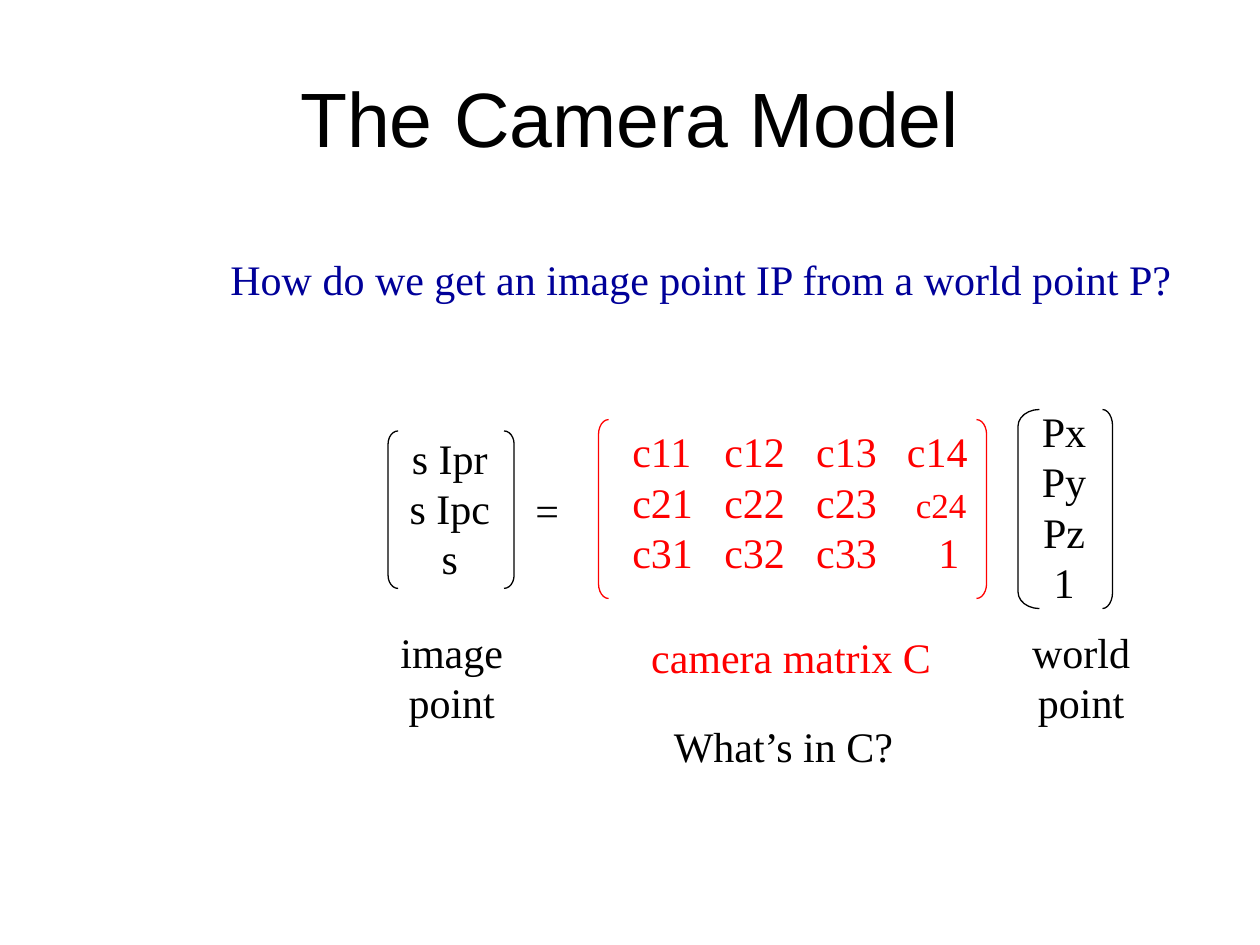
from dataclasses import dataclass

from lxml.etree import SubElement
from pptx import Presentation
from pptx.dml.color import RGBColor
from pptx.enum.shapes import MSO_SHAPE as Preset
from pptx.enum.text import MSO_ANCHOR as Anchor, PP_ALIGN as Align
from pptx.oxml.ns import qn
from pptx.slide import Slide
from pptx.text.text import _Paragraph as Paragraph
from pptx.util import Inches, Pt

BLACK, RED, BLUE = "000000", "FF0000", "000099"
SERIF = "Times New Roman"


@dataclass
class Label:
    lines: list[str]
    left: float
    top: float
    width: float
    height: float
    color: str = BLACK
    centered: bool = False


@dataclass
class Bracket:
    preset: Preset
    left: float
    top: float
    width: float
    height: float
    color: str = BLACK


@dataclass
class MatrixRow:
    entries: list[str]
    last_stop: float
    last_size: int = 24


LABELS = [
    Label(["How do we get an image point IP from a world point P?"],
          1.73, 1.96, 7.68, 0.5, BLUE),
    Label(["s Ipr", "s Ipc", "s"], 3.15, 3.38, 0.84, 1.3, centered=True),
    Label(["Px", "Py", "Pz", "1"], 8.17, 3.17, 0.55, 1.7, centered=True),
    Label(["="], 4.15, 3.8, 0.39, 0.5),
    Label(["image", "point"], 3.08, 4.92, 1.01, 0.9, centered=True),
    Label(["camera matrix C"], 5.07, 4.96, 2.42, 0.5, RED),
    Label(["world", "point"], 8.09, 4.92, 0.98, 0.9, centered=True),
    Label(["What’s in C?"], 5.25, 5.67, 1.96, 0.5),
]

BRACKETS = [
    Bracket(Preset.LEFT_BRACKET, 4.75, 3.33, 0.08, 1.42, RED),
    Bracket(Preset.RIGHT_BRACKET, 7.75, 3.33, 0.08, 1.42, RED),
    Bracket(Preset.LEFT_BRACKET, 3.08, 3.42, 0.08, 1.25),
    Bracket(Preset.RIGHT_BRACKET, 4, 3.42, 0.08, 1.25),
    Bracket(Preset.LEFT_BRACKET, 8.08, 3.25, 0.17, 1.58),
    Bracket(Preset.RIGHT_BRACKET, 8.75, 3.25, 0.08, 1.58),
]

MATRIX_LABEL = Label([], 4.92, 3.33, 2.87, 1.3, RED)
COLUMN_STEP = 0.73
MATRIX_ROWS = [
    MatrixRow(["c11", "c12", "c13", "c14"], 2.18),
    MatrixRow(["c21", "c22", "c23", "c24"], 2.25, 20),
    MatrixRow(["c31", "c32", "c33", "1"], 2.43),
]


def rgb(color: str) -> RGBColor:
    return RGBColor.from_string(color)


def format_paragraph(paragraph: Paragraph, name: str, size: int, color: str) -> None:
    paragraph.font.name = name
    paragraph.font.size = Pt(size)
    paragraph.font.color.rgb = rgb(color)


def add_label(slide: Slide, label: Label):
    box = slide.shapes.add_textbox(
        Inches(label.left), Inches(label.top), Inches(label.width), Inches(label.height))
    frame = box.text_frame
    frame.word_wrap = True
    frame.margin_left = 0 if label.centered else Inches(0.1)
    frame.margin_right = 0
    frame.text = "\n".join(label.lines)
    for paragraph in frame.paragraphs:
        paragraph.alignment = Align.CENTER if label.centered else Align.LEFT
        format_paragraph(paragraph, SERIF, 24, label.color)
    return frame


def add_tab_stops(paragraph: Paragraph, stops: list[float]) -> None:
    tab_list = SubElement(paragraph._p.get_or_add_pPr(), qn("a:tabLst"))
    for stop in stops:
        SubElement(tab_list, qn("a:tab"), pos=str(Inches(stop)), algn="l")


def add_matrix(slide: Slide, label: Label, rows: list[MatrixRow]) -> None:
    frame = add_label(slide, label)
    for index, row in enumerate(rows):
        paragraph = frame.add_paragraph() if index else frame.paragraphs[0]
        if not index:
            paragraph._p.remove(paragraph._p.get_or_add_pPr())
        add_tab_stops(paragraph, [COLUMN_STEP, 2 * COLUMN_STEP, row.last_stop])
        format_paragraph(paragraph, SERIF, 24, label.color)
        paragraph.add_run().text = "\t".join(row.entries[:-1]) + "\t"
        last_run = paragraph.add_run()
        last_run.text = row.entries[-1]
        if row.last_size != 24:
            last_run.font.size = Pt(row.last_size)


def add_bracket(slide: Slide, bracket: Bracket) -> None:
    shape = slide.shapes.add_shape(
        bracket.preset, Inches(bracket.left), Inches(bracket.top),
        Inches(bracket.width), Inches(bracket.height))
    shape.adjustments[0] = bracket.height / 12 / bracket.width
    shape.shadow.inherit = False
    shape.fill.background()
    shape.line.color.rgb = rgb(bracket.color)
    shape.line.width = Pt(0.75)


def add_title(slide: Slide, text: str) -> None:
    title = slide.shapes.title
    title.left, title.top = Inches(0.5), Inches(0.3)
    title.width, title.height = Inches(9), Inches(1.25)
    title.text_frame.text = text
    title.text_frame.vertical_anchor = Anchor.MIDDLE
    paragraph = title.text_frame.paragraphs[0]
    paragraph.alignment = Align.CENTER
    format_paragraph(paragraph, "Arial", 44, BLACK)


def main() -> None:
    presentation = Presentation()
    presentation.slide_width, presentation.slide_height = Inches(10), Inches(7.5)
    slide = presentation.slides.add_slide(presentation.slide_layouts[5])
    add_title(slide, "The Camera Model")
    add_matrix(slide, MATRIX_LABEL, MATRIX_ROWS)
    for label in LABELS:
        add_label(slide, label)
    for bracket in BRACKETS:
        add_bracket(slide, bracket)
    presentation.save("out.pptx")


if __name__ == "__main__":
    main()
